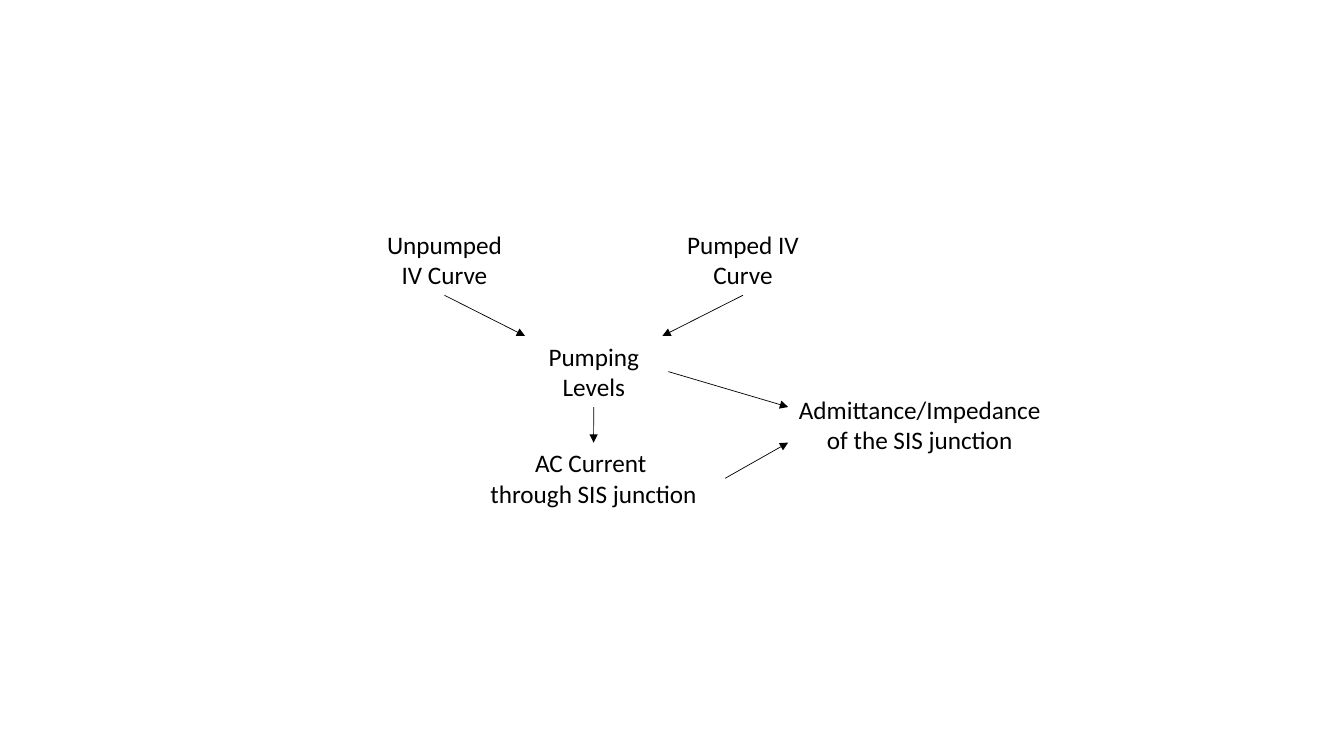
from dataclasses import dataclass

from lxml import etree
from pptx import Presentation
from pptx.dml.color import RGBColor
from pptx.enum.shapes import MSO_CONNECTOR
from pptx.enum.text import MSO_AUTO_SIZE, PP_ALIGN
from pptx.oxml.ns import qn
from pptx.slide import Slide
from pptx.util import Pt

STRAIGHT = MSO_CONNECTOR.STRAIGHT
CENTER = PP_ALIGN.CENTER
FIT_SHAPE = MSO_AUTO_SIZE.SHAPE_TO_FIT_TEXT
COLORS = {"background": "FFFFFF", "text": "000000", "arrow": "000000"}
FONT = "Calibri"
FONT_SIZE = 18
ARROW_WIDTH = 0.5
LABEL_HEIGHT = 50.9
NARROW, WIDE = 106.6, 188


@dataclass(frozen=True)
class Label:
    lines: tuple[str, ...]
    left: float
    top: float
    width: float

    def point(self, across: float, down: float) -> tuple[float, float]:
        return self.left + across * self.width, self.top + down * LABEL_HEIGHT


@dataclass(frozen=True)
class Arrow:
    start: tuple[float, float]
    end: tuple[float, float]


UNPUMPED = Label(("Unpumped IV Curve",), 264.2, 160, NARROW)
PUMPED = Label(("Pumped IV Curve",), 477.4, 160, NARROW)
PUMPING = Label(("Pumping Levels",), 370.8, 240, NARROW)
CURRENT = Label(("AC Current ", "through SIS junction"), 330, 316.2, WIDE)
ADMITTANCE = Label(("Admittance/Impedance", "of the SIS junction"), 563, 278, WIDE)
LABELS = (UNPUMPED, PUMPED, PUMPING, CURRENT, ADMITTANCE)

ARROWS = (
    Arrow(UNPUMPED.point(0.5, 1), PUMPING.point(0.04, 0)),
    Arrow(PUMPED.point(0.5, 1), PUMPING.point(0.96, 0)),
    Arrow(PUMPING.point(0.5, 1), CURRENT.point(0.5, 0)),
    Arrow(CURRENT.point(1, 0.5), ADMITTANCE.point(0, 0.75)),
    Arrow(PUMPING.point(1, 0.5), ADMITTANCE.point(0, 0.25)),
)


def draw_label(slide: Slide, label: Label) -> None:
    shape = slide.shapes.add_textbox(
        Pt(label.left), Pt(label.top), Pt(label.width), Pt(LABEL_HEIGHT)
    )
    frame = shape.text_frame
    frame.word_wrap = True
    frame.auto_size = FIT_SHAPE
    paragraph = frame.paragraphs[0]
    paragraph.alignment = CENTER
    for index, line in enumerate(label.lines):
        if index:
            paragraph.add_line_break()
        run = paragraph.add_run()
        run.text = line
        run.font.name = FONT
        run.font.size = Pt(FONT_SIZE)
        run.font.color.rgb = RGBColor.from_string(COLORS["text"])


def draw_arrow(slide: Slide, arrow: Arrow) -> None:
    ends = [Pt(length) for length in arrow.start + arrow.end]
    connector = slide.shapes.add_connector(STRAIGHT, *ends)
    connector.line.color.rgb = RGBColor.from_string(COLORS["arrow"])
    connector.line.width = Pt(ARROW_WIDTH)
    properties = connector.element.spPr
    line = properties.find(qn("a:ln"))
    etree.SubElement(line, qn("a:tailEnd"), type="triangle")
    etree.SubElement(properties, qn("a:effectLst"))


def main() -> None:
    presentation = Presentation()
    presentation.slide_width = Pt(960)
    presentation.slide_height = Pt(540)
    slide = presentation.slides.add_slide(presentation.slide_layouts[6])
    fill = slide.background.fill
    fill.solid()
    fill.fore_color.rgb = RGBColor.from_string(COLORS["background"])
    for label in LABELS:
        draw_label(slide, label)
    for arrow in ARROWS:
        draw_arrow(slide, arrow)
    presentation.save("out.pptx")


if __name__ == "__main__":
    main()
